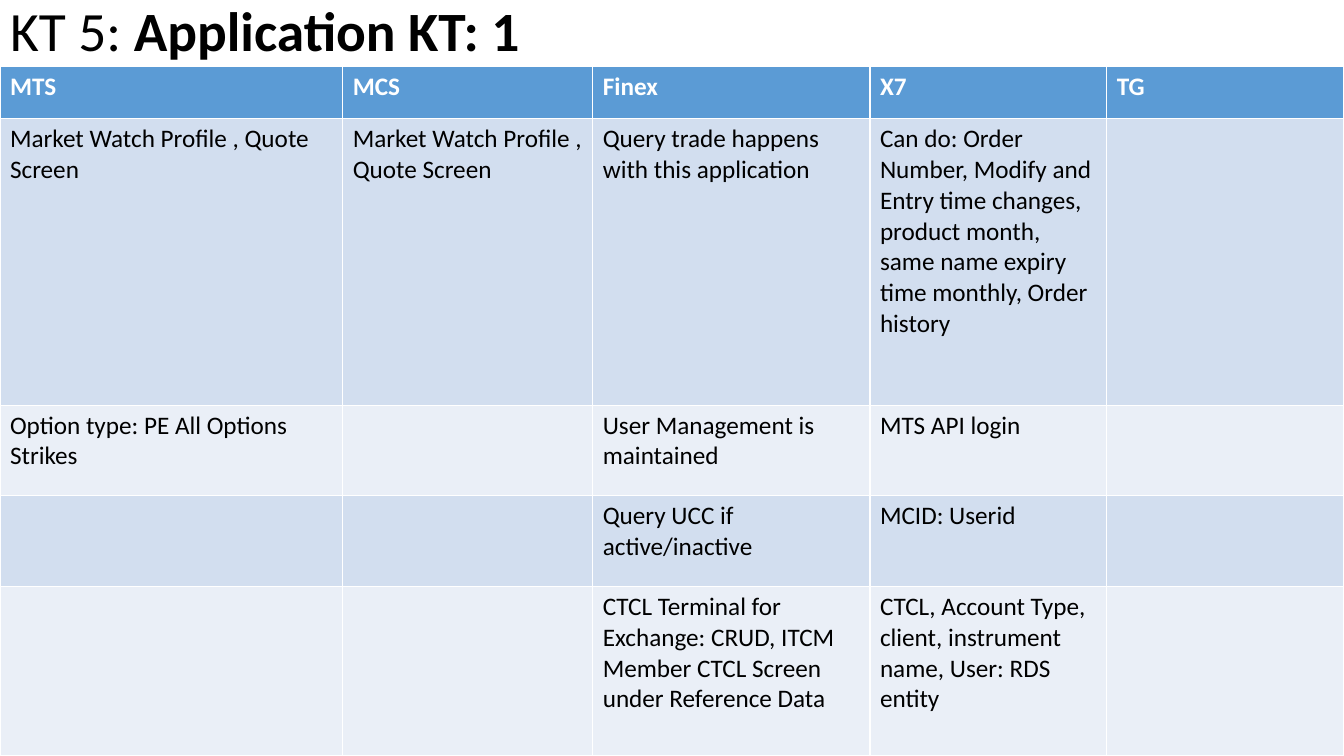
from pptx import Presentation
from pptx.dml.color import RGBColor
from pptx.enum.text import MSO_ANCHOR, MSO_AUTO_SIZE, PP_ALIGN
from pptx.util import Pt

PAGE_WIDTH, PAGE_HEIGHT = 960, 540
TITLE_WIDTH, TITLE_HEIGHT = 828, 47.5
FONT = "Calibri"
BLACK, WHITE = "000000", "FFFFFF"
HEADER_FILL = "5B9BD5"
BAND_FILLS = ("EAEFF7", "D2DEEF")  # even rows, odd rows

COLUMN_WIDTHS = (244.8, 178.6, 198, 169.2, 169.4)
ROW_HEIGHTS = (37.4, 204.5, 64.8, 64.8, 121)
APPLICATIONS = (
    ("MTS", "MCS", "Finex", "X7", "TG"),
    ("Market Watch Profile , Quote Screen",
     "Market Watch Profile , Quote Screen",
     "Query trade happens with this application",
     "Can do: Order Number, Modify and Entry time changes, product month, "
     "same name expiry time monthly, Order history", ""),
    ("Option type: PE All Options Strikes", "",
     "User Management is maintained", "MTS API login", ""),
    ("", "", "Query UCC if active/inactive", "MCID: Userid", ""),
    ("", "",
     "CTCL Terminal for Exchange: CRUD, ITCM Member CTCL Screen under Reference Data",
     "CTCL, Account Type, client, instrument name, User: RDS entity", ""),
)


def color(hex_string):
    return RGBColor.from_string(hex_string)


def style_paragraph(para, size, hex_string):
    para.font.name = FONT
    para.font.size = Pt(size)
    para.font.color.rgb = color(hex_string)


def fill_title(title, left, top, width, height):
    title.left, title.top = Pt(left), Pt(top)
    title.width, title.height = Pt(width), Pt(height)
    frame = title.text_frame
    frame.word_wrap = True
    frame.auto_size = MSO_AUTO_SIZE.NONE
    frame.vertical_anchor = MSO_ANCHOR.MIDDLE
    para = frame.paragraphs[0]
    para.alignment = PP_ALIGN.LEFT
    para.line_spacing = 0.9
    style_paragraph(para, 39.6, BLACK)
    for text, bold in (("KT 5: ", False), ("Application KT: 1", True)):
        span = para.add_run()
        span.text = text
        span.font.bold = bold


def add_application_table(page, left, top, width, height):
    # The default table style supplies the white cell borders
    table = page.shapes.add_table(len(ROW_HEIGHTS), len(COLUMN_WIDTHS),
                                  Pt(left), Pt(top), Pt(width), Pt(height)).table
    for column, column_width in zip(table.columns, COLUMN_WIDTHS):
        column.width = Pt(column_width)
    for row, row_height in zip(table.rows, ROW_HEIGHTS):
        row.height = Pt(row_height)

    # Header row and alternating bands
    for row_index, texts in enumerate(APPLICATIONS):
        is_header = row_index == 0
        fill = HEADER_FILL if is_header else BAND_FILLS[row_index % 2]
        for column_index, text in enumerate(texts):
            cell = table.cell(row_index, column_index)
            cell.fill.solid()
            cell.fill.fore_color.rgb = color(fill)
            cell.text = text
            para = cell.text_frame.paragraphs[0]
            style_paragraph(para, 18, WHITE if is_header else BLACK)
            para.font.bold = is_header


def main():
    deck = Presentation()
    deck.slide_width, deck.slide_height = Pt(PAGE_WIDTH), Pt(PAGE_HEIGHT)
    page = deck.slides.add_slide(deck.slide_layouts[5])
    fill_title(page.shapes.title, 0, 0, TITLE_WIDTH, TITLE_HEIGHT)
    add_application_table(page, 0, TITLE_HEIGHT, PAGE_WIDTH, PAGE_HEIGHT - TITLE_HEIGHT)
    deck.save("out.pptx")


if __name__ == "__main__":
    main()
